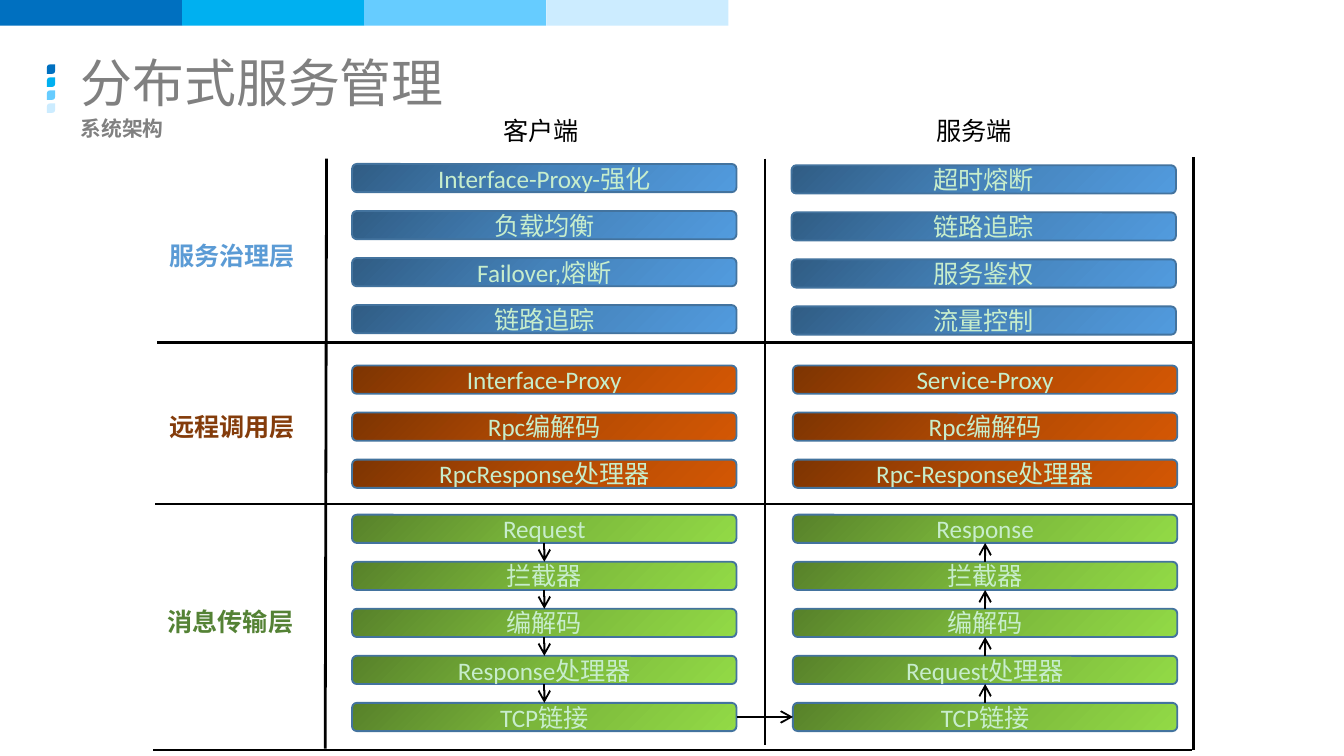
from copy import deepcopy
from pptx import Presentation
from pptx.dml.color import RGBColor
from pptx.enum.shapes import MSO_CONNECTOR as CONN, MSO_SHAPE as SHAPE
from pptx.enum.text import MSO_ANCHOR as ANCHOR, PP_ALIGN as ALIGN
from pptx.oxml.ns import qn
from pptx.util import Inches, Pt
from lxml.etree import SubElement

BLACK = RGBColor(0x00, 0x00, 0x00)
GREY = RGBColor(0x80, 0x80, 0x80)
MINT = RGBColor(0xC7, 0xED, 0xCC)
OUTLINE = RGBColor(0x43, 0x73, 0x9E)
ACCENTS = [RGBColor(0x00, 0x70, 0xC0), RGBColor(0x00, 0xB0, 0xF0),
           RGBColor(0x66, 0xCC, 0xFF), RGBColor(0xCC, 0xEC, 0xFF)]
BLUE = RGBColor(0x5B, 0x9B, 0xD5)
BROWN = RGBColor(0x84, 0x3C, 0x0B)
GREEN = RGBColor(0x54, 0x82, 0x35)
BLUES = [RGBColor(0x30, 0x5C, 0x84), RGBColor(0x45, 0x83, 0xBB), RGBColor(0x52, 0x9B, 0xDE)]
ORANGES = [RGBColor(0x7D, 0x34, 0x02), RGBColor(0xB2, 0x4A, 0x03), RGBColor(0xD3, 0x57, 0x04)]
GREENS = [RGBColor(0x57, 0x81, 0x2A), RGBColor(0x7B, 0xB7, 0x3B), RGBColor(0x92, 0xDA, 0x46)]
CJK = "Noto Sans CJK SC"

prs = Presentation()
prs.slide_width, prs.slide_height = Inches(10), Inches(10 * 9 / 16)
slide = prs.slides.add_slide(prs.slide_layouts[6])
shapes = slide.shapes


def write(s, text, size, color, bold=False, font="Calibri"):
    p = s.text_frame.paragraphs[0]
    p.text = text
    r = p.runs[0]
    r.font.name, r.font.size, r.font.bold = font, Pt(size), bold
    r.font.color.rgb = color
    SubElement(r.font._element, qn("a:ea")).set("typeface", CJK)
    return p


def connect(x1, y1, x2, y2, width=1, arrow=False):
    c = shapes.add_connector(CONN.STRAIGHT, Inches(x1), Inches(y1), Inches(x2), Inches(y2))
    c.line.color.rgb = BLACK
    c.line.width = Pt(width)
    if arrow:
        SubElement(c.line._get_or_add_ln(), qn("a:tailEnd")).set("type", "arrow")
    SubElement(c._element.spPr, qn("a:effectLst"))
    return c


band = 5.42 / 4
leaf_pitch = 0.29 / 3
for i, color in enumerate(ACCENTS):
    bar = shapes.add_shape(SHAPE.RECTANGLE, Inches(i * band), 0, Inches(band), Inches(0.19))
    leaf = shapes.add_shape(SHAPE.ROUND_2_DIAG_RECTANGLE, Inches(0.35),
                            Inches(0.48 + i * leaf_pitch), Inches(0.06), Inches(0.07))
    leaf.adjustments[0] = 0.35
    for s in (bar, leaf):
        s.shadow.inherit = False
        s.fill.solid()
        s.fill.fore_color.rgb = color
        s.line.fill.background()

for text, top, height, size, bold, anchor in [
        ("分布式服务管理", 0.41, 0.4, 27.8, False, ANCHOR.MIDDLE),
        ("系统架构", 0.81, 0.33, 11.1, True, ANCHOR.TOP)]:
    s = shapes.add_textbox(Inches(0.5), Inches(top), Inches(9), Inches(height))
    s.text_frame.word_wrap = True
    s.text_frame.vertical_anchor = anchor
    write(s, text, size, GREY, bold, CJK)

for line in [(2.43, 1.18, 2.42, 5.57, 1.5), (8.87, 2.55, 1.17, 2.55, 1.5),
             (8.89, 3.75, 1.15, 3.75, 1.5), (8.87, 5.58, 1.14, 5.58, 1.5),
             (5.69, 1.18, 5.69, 5.54, 1), (8.88, 1.17, 8.88, 5.58, 1.5)]:
    connect(*line)

for text, left, top, width, color, bold in [
        ("服务治理层", 1.16, 1.74, 1.15, BLUE, True),
        ("远程调用层", 1.16, 3.01, 1.15, BROWN, True),
        ("消息传输层", 1.15, 4.46, 1.15, GREEN, True),
        ("客户端", 3.65, 0.81, 0.77, BLACK, False),
        ("服务端", 6.87, 0.81, 0.77, BLACK, False)]:
    s = shapes.add_textbox(Inches(left), Inches(top), Inches(width), Inches(0.33))
    s.text_frame.word_wrap = False
    write(s, text, 13.5, color, bold)

columns = []
for left, top, colors, names in [
        (2.62, 1.22, BLUES, ["Interface-Proxy-强化", "负载均衡", "Failover,熔断", "链路追踪"]),
        (5.89, 1.23, BLUES, ["超时熔断", "链路追踪", "服务鉴权", "流量控制"]),
        (2.62, 2.72, ORANGES, ["Interface-Proxy", "Rpc编解码", "RpcResponse处理器"]),
        (5.9, 2.72, ORANGES, ["Service-Proxy", "Rpc编解码", "Rpc-Response处理器"]),
        (2.62, 3.83, GREENS, ["Request", "拦截器", "编解码", "Response处理器", "TCP链接"]),
        (5.9, 3.83, GREENS, ["Response", "拦截器", "编解码", "Request处理器", "TCP链接"])]:
    column = []
    for i, name in enumerate(names):
        s = shapes.add_shape(SHAPE.ROUNDED_RECTANGLE, Inches(left), Inches(top + i * 0.35),
                             Inches(2.86), Inches(0.21))
        s.shadow.inherit = False
        s.fill.gradient()
        s.fill.gradient_angle = 315
        stops = s._element.spPr.find(qn("a:gradFill")).find(qn("a:gsLst"))
        stops.insert(1, deepcopy(stops[0]))
        for stop, color, position in zip(s.fill.gradient_stops, colors, (0, 0.5, 1)):
            stop.color.rgb = color
            stop.position = position
        s.line.color.rgb = OUTLINE
        s.line.width = Pt(1)
        s.text_frame.vertical_anchor = ANCHOR.MIDDLE
        write(s, name, 13.5, MINT).alignment = ALIGN.CENTER
        column.append(s)
    columns.append(column)

client, server = columns[-2:]
links = [(a, 2, b, 0) for a, b in zip(client, client[1:])]
links.append((client[-1], 3, server[-1], 1))
links += [(b, 0, a, 2) for a, b in zip(server, server[1:])]
for start, start_site, end, end_site in links:
    c = connect(0, 0, 1, 1, arrow=True)
    c.begin_connect(start, start_site)
    c.end_connect(end, end_site)

prs.save("out.pptx")
